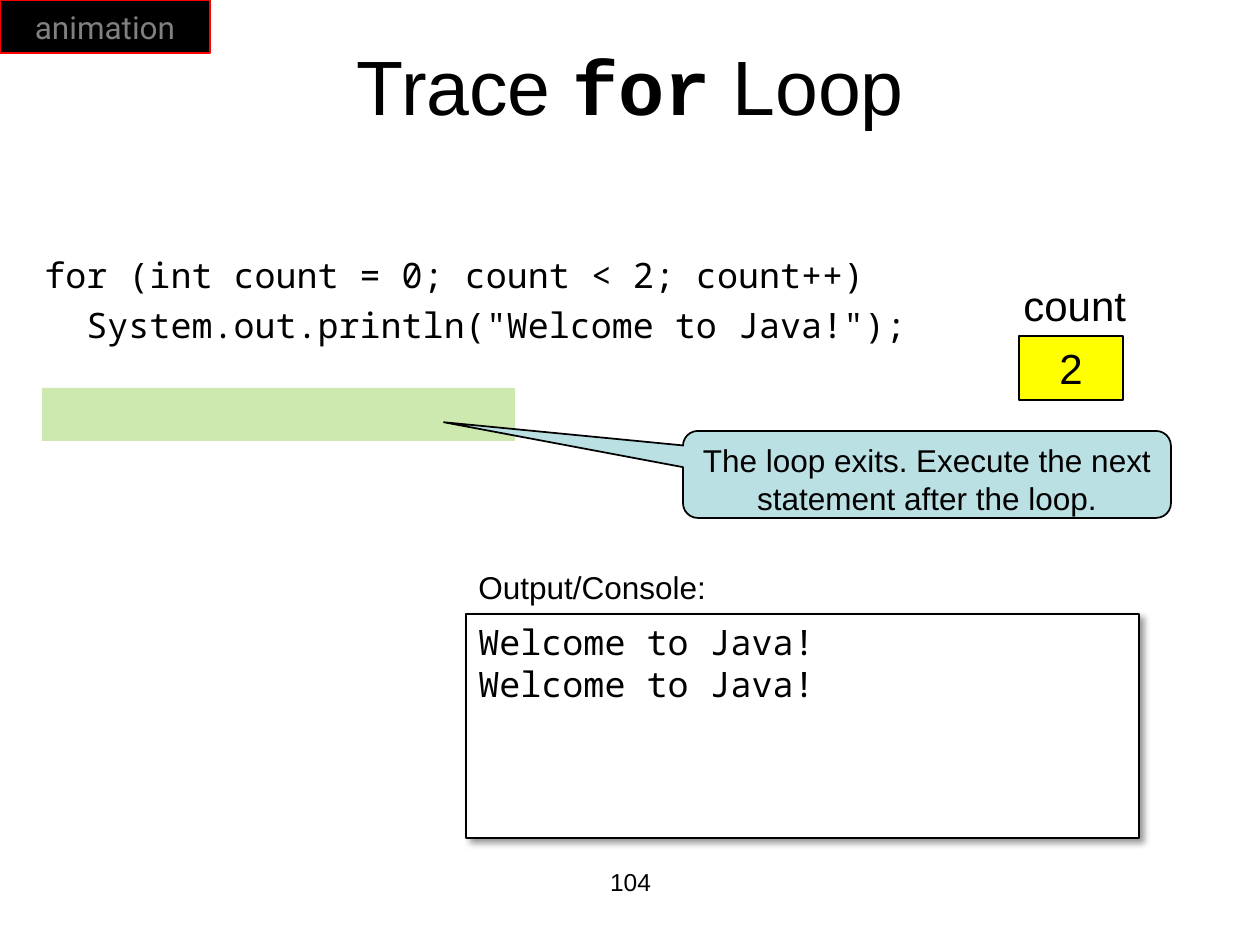
"""Build a slide that traces the last step of a Java for loop."""
from dataclasses import dataclass

from lxml import etree
from pptx import Presentation
from pptx.dml.color import RGBColor
from pptx.enum.shapes import MSO_SHAPE
from pptx.enum.text import MSO_ANCHOR, PP_ALIGN
from pptx.oxml.ns import qn
from pptx.util import Pt

EMU_PER_PX = 914400 / 126
RECTANGLE = MSO_SHAPE.RECTANGLE
CALLOUT = MSO_SHAPE.ROUNDED_RECTANGULAR_CALLOUT
LEFT, CENTER = PP_ALIGN.LEFT, PP_ALIGN.CENTER
TOP, MIDDLE = MSO_ANCHOR.TOP, MSO_ANCHOR.MIDDLE
SANS, MONO, TITLE_MONO, TAG_FONT = "Arial", "Noto Sans Mono", "Courier New", "Roboto"
BLACK = "000000"


@dataclass(frozen=True)
class Words:
    lines: tuple[str, ...]
    size: int
    font: str = SANS
    color: str = BLACK
    align: PP_ALIGN = LEFT
    anchor: MSO_ANCHOR = TOP
    wrap: bool = True
    line_spacing: float = 1.0
    space_between: int = 0


@dataclass(frozen=True)
class Panel:
    place: tuple[int, int, int, int]
    fill: str
    line: str | None = None
    line_width: float = 0.75
    words: Words | None = None
    preset: MSO_SHAPE = RECTANGLE


LABELS = (
    ((32, 252, 914, 289), Words(
        ("for (int count = 0; count < 2; count++)",
         '  System.out.println("Welcome to Java!");'),
        20, MONO, line_spacing=0.9, space_between=7)),
    ((431, 861, 399, 66), Words(("104",), 14, align=CENTER)),
    ((1011, 273, 130, 63), Words(("count",), 24, wrap=False)),
    ((466, 562, 255, 50), Words(("Output/Console:",), 18, wrap=False)),
)
TITLE_PLACE = (95, 32, 1071, 105)
TITLE_SPANS = (("Trace ", SANS, False), ("for", TITLE_MONO, True), (" Loop", SANS, False))
TAG = Panel((0, 0, 210, 53), BLACK, "FF0000", 1, Words(
    ("animation",), 18, TAG_FONT, "808080", CENTER, MIDDLE, wrap=False))
COUNT_VALUE = Panel((1019, 336, 104, 64), "FFFF00", BLACK,
                    words=Words(("2",), 24, align=CENTER))
CONSOLE = Panel((466, 614, 673, 224), "FFFFFF", BLACK,
                words=Words(("Welcome to Java!",) * 2, 20, MONO))
HIGHLIGHT = Panel((42, 388, 473, 53), "92D050")
NOTE = Panel((683, 431, 488, 87), "BBE0E3", BLACK, 1, Words(
    ("The loop exits. Execute the next statement after the loop.",), 18, align=CENTER), CALLOUT)
NOTE_ADJUSTMENTS = (-0.99, -0.6, 0.17)


def px(length: int) -> int:
    return round(length * EMU_PER_PX)


def rgb(color: str) -> RGBColor:
    return RGBColor.from_string(color)


def write(frame, words: Words) -> None:
    frame.word_wrap = words.wrap
    frame.vertical_anchor = words.anchor
    for index, line in enumerate(words.lines):
        para = frame.add_paragraph() if index else frame.paragraphs[0]
        para.text = line
        para.alignment = words.align
        para.line_spacing = words.line_spacing
        para.space_before = Pt(words.space_between if index else 0)
        para.font.size = Pt(words.size)
        para.font.name = words.font
        para.font.color.rgb = rgb(words.color)


def add_label(page, place: tuple[int, int, int, int], words: Words) -> None:
    box = page.shapes.add_textbox(*map(px, place))
    write(box.text_frame, words)


def add_title(page) -> None:
    frame = page.shapes.add_textbox(*map(px, TITLE_PLACE)).text_frame
    frame.word_wrap = True
    frame.vertical_anchor = MIDDLE
    para = frame.paragraphs[0]
    para.alignment = CENTER
    para.font.size = Pt(44)
    para.font.color.rgb = rgb(BLACK)
    for text, font, bold in TITLE_SPANS:
        span = para.add_run()
        span.text = text
        span.font.name = font
        span.font.bold = bold


def add_panel(page, panel: Panel):
    shape = page.shapes.add_shape(panel.preset, *map(px, panel.place))
    shape.shadow.inherit = False
    shape.fill.solid()
    shape.fill.fore_color.rgb = rgb(panel.fill)
    if panel.line:
        shape.line.color.rgb = rgb(panel.line)
        shape.line.width = Pt(panel.line_width)
    else:
        shape.line.fill.background()
    if panel.words:
        write(shape.text_frame, panel.words)
    return shape


def set_alpha(color_element, percent: int) -> None:
    etree.SubElement(color_element, qn("a:alpha"), val=str(percent * 1000))


def cast_shadow(shape) -> None:
    effects = shape._element.spPr.find(qn("a:effectLst"))
    shadow = etree.SubElement(effects, qn("a:outerShdw"), blurRad=str(Pt(4)),
                              dist=str(Pt(3)), dir=str(45 * 60000),
                              algn="tl", rotWithShape="0")
    set_alpha(etree.SubElement(shadow, qn("a:srgbClr"), val=BLACK), 40)


def main() -> None:
    deck = Presentation()
    deck.slide_width, deck.slide_height = px(1260), px(945)
    page = deck.slides.add_slide(deck.slide_layouts[6])
    for place, words in LABELS:
        add_label(page, place, words)
    add_title(page)
    add_panel(page, TAG)
    add_panel(page, COUNT_VALUE)
    cast_shadow(add_panel(page, CONSOLE))
    highlight = add_panel(page, HIGHLIGHT)
    set_alpha(highlight._element.spPr.find(qn("a:solidFill"))[0], 45)
    note = add_panel(page, NOTE)
    for index, value in enumerate(NOTE_ADJUSTMENTS):
        note.adjustments[index] = value
    deck.save("out.pptx")


if __name__ == "__main__":
    main()
